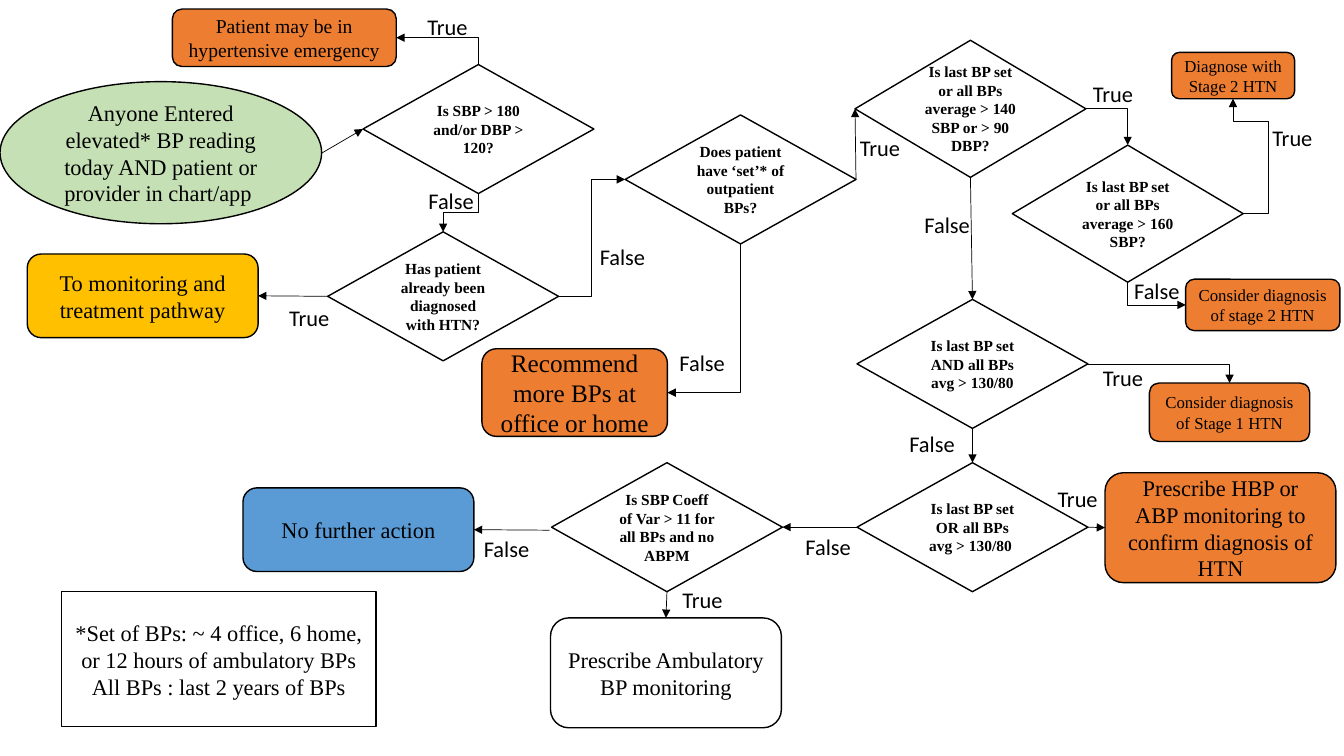
from dataclasses import dataclass
from lxml import etree
from pptx import Presentation
from pptx.dml.color import RGBColor
from pptx.enum import shapes, text
from pptx.oxml.ns import qn
from pptx.util import Inches, Pt


@dataclass(frozen=True)
class Theme:
    ink: str = "000000"
    white: str = "FFFFFF"
    green: str = "C5E0B4"
    gold: str = "FFC000"
    orange: str = "ED7D31"
    blue: str = "5B9BD5"
    serif: str = "Times New Roman"
    sans: str = "Calibri"
    test: int = 11
    small: int = 12
    mid: int = 14
    body: int = 16
    large: int = 18
    edge: float = 1
    wire: float = 0.5


T = Theme()
KIND = shapes.MSO_SHAPE
WIDE = 2.29   # width of every test and most outcomes
HIGH = 1.28   # height of most tests
TALL = 1.36   # height of the tests with longer wording
SITE = {"top": 0, "left": 1, "bottom": 2, "right": 3}


def put(item, values):
    for key, value in values.items():
        setattr(item, key, value)


def write(frame, words, size, font, bold=False, align=None):
    frame.word_wrap = True
    for i, line in enumerate(words.split("\n")):
        para = frame.paragraphs[0] if i == 0 else frame.add_paragraph()
        para.alignment = align
        run = para.add_run()
        run.text = line
        put(run.font, {"size": Pt(size), "name": font, "bold": bold})
        run.font.color.rgb = RGBColor.from_string(T.ink)


def node(slide, kind, box, words, fill=T.white, size=T.body):
    item = slide.shapes.add_shape(kind, *map(Inches, box))
    item.shadow.inherit = False
    item.fill.solid()
    item.fill.fore_color.rgb = RGBColor.from_string(fill)
    item.line.color.rgb = RGBColor.from_string(T.ink)
    item.line.width = Pt(T.edge)
    item.text_frame.vertical_anchor = text.MSO_ANCHOR.MIDDLE
    write(item.text_frame, words, size, T.serif, kind == KIND.DIAMOND,
          text.PP_ALIGN.CENTER)
    return item


def test(slide, x, y, words, high=HIGH):
    return node(slide, KIND.DIAMOND, (x, y, WIDE, high), words, size=T.test)


def result(slide, box, words, fill=T.orange, size=T.body):
    return node(slide, KIND.ROUNDED_RECTANGLE, box, words, fill, size)


def labels(slide, x, y, marks):
    for word, dx, dy in marks:
        item = slide.shapes.add_textbox(
            *map(Inches, (x + dx, y + dy, 0.69, 0.37)))
        write(item.text_frame, word, T.body, T.sans)
        item.text_frame.auto_size = text.MSO_AUTO_SIZE.SHAPE_TO_FIT_TEXT


# Arrows: a start is a (node, side) pair or a bare point in inches
def link(slide, start, end, bends=0, adjust=()):
    kind = shapes.MSO_CONNECTOR.ELBOW if bends else shapes.MSO_CONNECTOR.STRAIGHT
    wire = slide.shapes.add_connector(kind, 0, 0, 0, 0)
    glued = isinstance(start[1], str)
    if glued:
        wire.begin_connect(start[0], SITE[start[1]])
    else:
        put(wire, {"begin_x": Inches(start[0]), "begin_y": Inches(start[1])})
    wire.end_connect(end[0], SITE[end[1]])
    wire.line.color.rgb = RGBColor.from_string(T.ink)
    wire.line.width = Pt(T.wire)
    props = wire.element.spPr
    if bends:
        shape = props.find(qn("a:prstGeom"))
        shape.set("prst", f"bentConnector{bends + 1}")
        guides = shape.find(qn("a:avLst"))
        for i, value in enumerate(adjust, 1):
            etree.SubElement(guides, qn("a:gd"), name=f"adj{i}",
                             fmla=f"val {round(value * 100000)}")
        if start[1] in ("top", "bottom"):
            turn(wire)
    etree.SubElement(props.find(qn("a:ln")), qn("a:tailEnd"), type="triangle")
    etree.SubElement(props, qn("a:effectLst"))


def turn(wire):
    """Make an elbow leave its start vertically."""
    dx, dy = wire.end_x - wire.begin_x, wire.end_y - wire.begin_y
    wide, high = abs(dy), abs(dx)
    midx, midy = wire.begin_x + dx // 2, wire.begin_y + dy // 2
    put(wire, {"left": midx - wide // 2, "top": midy - high // 2,
               "width": wide, "height": high})
    frame = wire.element.spPr.find(qn("a:xfrm"))
    both = dy > 0 and dx < 0
    frame.set("rot", str((90 if both else 270) * 60000))
    frame.set("flipH", str(int(dy > 0 and not both)))
    frame.set("flipV", str(int(dx < 0 and not both)))


# Left: entry, emergency check and known diagnosis
def intake(slide, x, y):
    node(slide, KIND.OVAL, (x, y + 0.81, 3.19, 1.41),
         "Anyone Entered elevated* BP reading today AND patient or provider in chart/app ",
         T.green)
    crisis = test(slide, x + 3.6, y + 0.64, "Is SBP > 180 and/or DBP > 120?")
    known = test(slide, x + 3.25, y + 2.3,
                 "Has patient already been diagnosed with HTN?")
    ready = test(slide, x + 6.2, y + 1.14,
                 "Does patient have ‘set’* of outpatient BPs?")
    urgent = result(slide, (x + 1.71, y + 0.09, 2.22, 0.57),
                    "Patient may be in hypertensive emergency", size=T.mid)
    treat = result(slide, (x + 0.27, y + 2.52, WIDE, 0.83),
                   "To monitoring and treatment pathway", T.gold)
    more = result(slide, (x + 4.78, y + 3.46, 1.84, 0.87),
                  "Recommend more BPs at office or home", size=T.large)
    link(slide, (x + 3.19, y + 1.52), (crisis, "left"))
    link(slide, (crisis, "top"), (urgent, "right"), 1)
    link(slide, (crisis, "bottom"), (known, "top"), 2, (0.5,))
    link(slide, (known, "left"), (treat, "right"))
    link(slide, (known, "right"), (ready, "left"), 2, (0.5,))
    link(slide, (ready, "bottom"), (more, "right"), 1)
    labels(slide, x, y, [("True", 4.14, 0.08), ("False", 4.15, 1.81),
                         ("True", 2.77, 2.97), ("False", 5.85, 2.36),
                         ("False", 6.64, 3.41)])
    return ready


# Right: grading by average pressure
def stage(slide, x, y):
    over = test(slide, x, y,
                "Is last BP set or all BPs average > 140 SBP or > 90 DBP?", TALL)
    severe = test(slide, x + 1.56, y + 1.04,
                  "Is last BP set or all BPs average > 160 SBP?", TALL)
    mild = test(slide, x + 0.02, y + 2.57,
                "Is last BP set AND all BPs avg > 130/80")
    sure, maybe, first = [
        result(slide, (x + dx, y + dy, wide, high), words, size=T.small)
        for dx, dy, wide, high, words in [
            (3.14, 0.12, 1.22, 0.46, "Diagnose with Stage 2 HTN"),
            (3.28, 2.37, 1.53, 0.51, "Consider diagnosis of stage 2 HTN"),
            (2.92, 3.4, 1.59, 0.58, "Consider diagnosis of Stage 1 HTN")]]
    link(slide, (over, "right"), (severe, "top"), 1)
    link(slide, (over, "bottom"), (mild, "top"))
    link(slide, (severe, "right"), (sure, "bottom"), 3, (-2.52, 0.8))
    link(slide, (severe, "bottom"), (maybe, "left"), 1)
    link(slide, (mild, "right"), (first, "top"), 1)
    labels(slide, x, y, [("True", -0.05, 0.88), ("True", 2.26, 0.35),
                         ("True", 4.04, 0.78), ("False", 0.59, 1.65),
                         ("False", 2.67, 2.3), ("True", 2.36, 3.16),
                         ("False", 0.44, 3.82)])
    return over, mild


# Bottom: confirmation, variability and footnote
def confirm(slide, x, y):
    either = test(slide, x + 7.89, y, "Is last BP set OR all BPs avg > 130/80 ")
    vary = test(slide, x + 4.86, y,
                "Is SBP Coeff of Var > 11 for all BPs and no ABPM")
    home = result(slide, (x + 10.35, y + 0.1, WIDE, 1.09),
                  "Prescribe HBP or ABP monitoring to confirm diagnosis of HTN")
    watch = result(slide, (x + 4.85, y + 1.54, WIDE, 1.09),
                   "Prescribe Ambulatory BP monitoring", T.white)
    done = result(slide, (x + 1.8, y + 0.25, WIDE, 0.83),
                  "No further action", T.blue)
    node(slide, KIND.RECTANGLE, (x, y + HIGH, 3.12, 1.34),
         "*Set of BPs: ~ 4 office, 6 home, or 12 hours of ambulatory BPs\n"
         "All BPs : last 2 years of BPs")
    link(slide, (either, "right"), (home, "left"))
    link(slide, (either, "left"), (vary, "right"))
    link(slide, (vary, "bottom"), (watch, "top"))
    link(slide, (x + 4.84, y + 0.67), (done, "right"))
    labels(slide, x, y, [("True", 9.78, 0.17), ("False", 7.28, 0.65),
                         ("True", 6.06, 1.18), ("False", 4.09, 0.67)])
    return either


def main():
    deck = Presentation()
    put(deck, {"slide_width": Inches(13.33), "slide_height": Inches(7.5)})
    slide = deck.slides.add_slide(deck.slide_layouts[6])
    ready = intake(slide, 0, 0)
    over, mild = stage(slide, 8.48, 0.4)
    either = confirm(slide, 0.61, 4.59)
    # Arrows between regions
    link(slide, (ready, "right"), (over, "left"))
    link(slide, (mild, "bottom"), (either, "top"))
    deck.save("out.pptx")


if __name__ == "__main__":
    main()
